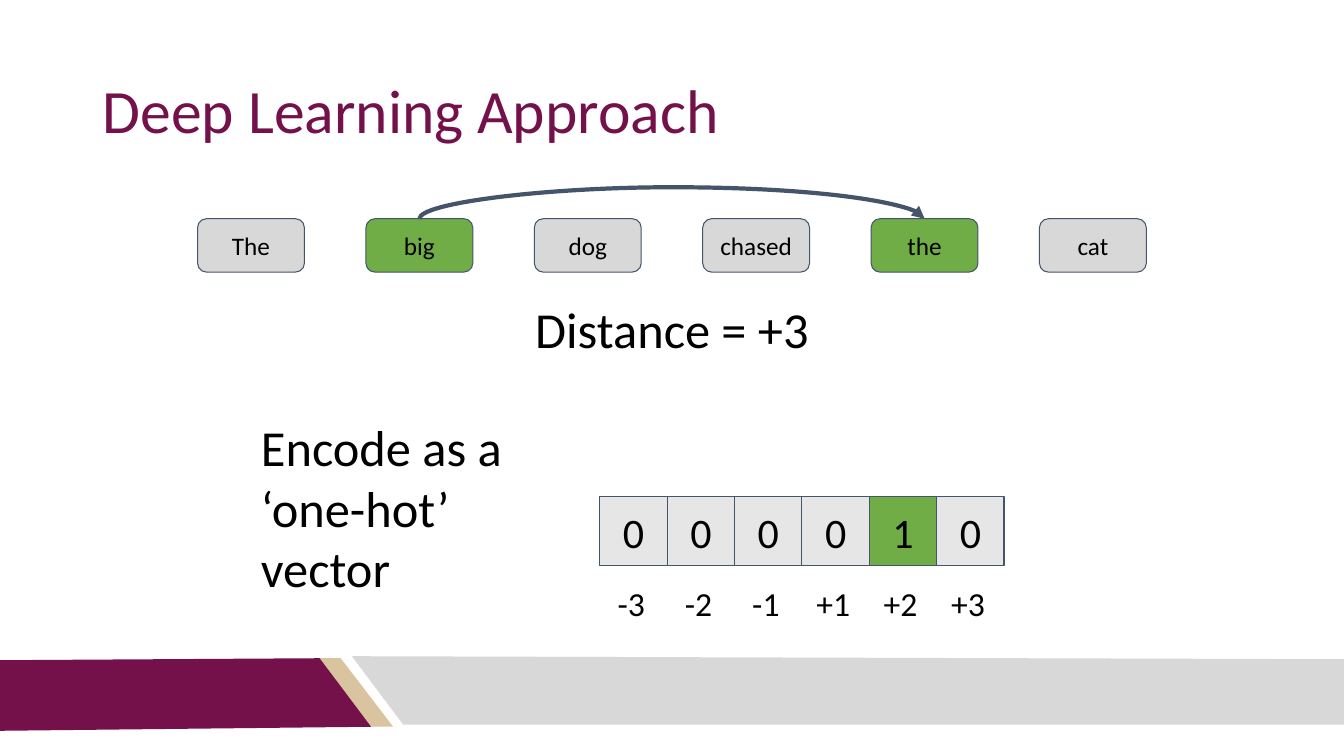
"""Build the slide on encoding word distance as a one-hot vector."""
from dataclasses import dataclass

from lxml import etree
from pptx import Presentation
from pptx.dml.color import RGBColor
from pptx.enum.shapes import MSO_CONNECTOR, MSO_SHAPE
from pptx.enum.text import MSO_ANCHOR, PP_ALIGN
from pptx.oxml.ns import qn
from pptx.util import Emu, Inches, Pt

CURVE = MSO_CONNECTOR.CURVE
RECTANGLE, ROUNDED = MSO_SHAPE.RECTANGLE, MSO_SHAPE.ROUNDED_RECTANGLE
TOP, MIDDLE = MSO_ANCHOR.TOP, MSO_ANCHOR.MIDDLE
LEFT, CENTER = PP_ALIGN.LEFT, PP_ALIGN.CENTER
TOP_SIDE = 0
TITLE_ONLY = 5

TITLE = "Deep Learning Approach"
WORDS = ["The", "big", "dog", "chased", "the", "cat"]
LINKED = (1, 4)
DISTANCE = "Distance = +3"
ENCODING = "Encode as a ‘one-hot’ vector"
VECTOR = [("0", "-3"), ("0", "-2"), ("0", "-1"), ("0", "+1"), ("1", "+2"), ("0", "+3")]


@dataclass(frozen=True)
class Theme:
    font: str = "Calibri"
    maroon: str = "75114A"
    tan: str = "D9C49F"
    silver: str = "D8D8D8"
    pale: str = "E7E6E6"
    green: str = "70AD47"
    slate: str = "44546A"
    black: str = "000000"
    title_size: int = 44
    body_size: int = 36
    digit_size: int = 30
    label_size: int = 24
    word_size: int = 18
    outline: float = 0.75
    arrow: float = 3


THEME = Theme()
WIDTH, HEIGHT = 13.33, 7.5
TITLE_BOX = (0.92, 0.4, 11.5, 1.45)
DISTANCE_BOX = (4.25, 2.86, 4.83, 0.89)
ENCODING_BOX = (2.49, 4.03, 2.7, 1.58)
WORD_GRID = {"left": 1.96, "top": 2.17, "pitch": 1.67, "width": 1.06, "height": 0.53}
CELL_GRID = {"left": 5.95, "top": 4.93, "pitch": 0.668, "width": 0.668, "height": 0.68}
LABEL_GRID = {**CELL_GRID, "top": 5.68, "width": 0.62, "height": 0.41}
ARC_RISE = 0.26
ARC_DEPTH = 600
FOOTER = [
    (THEME.tan, [(3.16, 6.53), (3.38, 6.53), (3.9, 7.21), (3.67, 7.21)]),
    (THEME.maroon, [(0, 6.55), (3.17, 6.53), (3.68, 7.21), (0, 7.25)]),
    (THEME.silver, [(3.49, 6.51), (WIDTH, 6.54), (WIDTH, 7.19), (4, 7.19)]),
]


def color(value):
    return RGBColor.from_string(value)


def grid_box(grid, column):
    left = grid["left"] + column * grid["pitch"]
    return left, grid["top"], grid["width"], grid["height"]


def write(shape, text, size, ink=THEME.black, align=CENTER, anchor=TOP, spacing=1.0):
    frame = shape.text_frame
    margins = dict.fromkeys(
        ("margin_left", "margin_top", "margin_right", "margin_bottom"), Inches(0.1))
    for name, value in {**margins, "word_wrap": True, "vertical_anchor": anchor}.items():
        setattr(frame, name, value)
    para = frame.paragraphs[0]
    para.alignment, para.line_spacing = align, spacing
    span = para.add_run()
    span.text = text
    for name, value in {"name": THEME.font, "size": Pt(size)}.items():
        setattr(span.font, name, value)
    span.font.color.rgb = color(ink)


def add_text(page, box, text, size, align=CENTER):
    write(page.shapes.add_textbox(*map(Inches, box)), text, size, align=align)


def add_tile(page, kind, box, text, size, fill):
    tile = page.shapes.add_shape(kind, *map(Inches, box))
    tile.shadow.inherit = False
    tile.fill.solid()
    tile.fill.fore_color.rgb = color(fill)
    tile.line.color.rgb = color(THEME.slate)
    tile.line.width = Pt(THEME.outline)
    write(tile, text, size, anchor=MIDDLE)
    return tile


def add_footer(page):
    for fill, points in FOOTER:
        corners = [(Inches(x), Inches(y)) for x, y in points]
        builder = page.shapes.build_freeform(*corners[0])
        builder.add_line_segments(corners[1:], close=True)
        band = builder.convert_to_shape()
        band.shadow.inherit = False
        band.fill.solid()
        band.fill.fore_color.rgb = color(fill)
        band.line.fill.background()


def add_arc(page, start, end):
    begin_x = start.left + start.width // 2
    end_x = end.left + end.width // 2
    span = end_x - begin_x
    arc = page.shapes.add_connector(CURVE, begin_x, start.top, end_x, end.top)
    arc.begin_connect(start, TOP_SIDE)
    arc.end_connect(end, TOP_SIDE)
    frame = {"left": (begin_x + end_x - ARC_DEPTH) // 2, "top": start.top - span // 2,
             "width": ARC_DEPTH, "height": span}
    for name, value in frame.items():
        setattr(arc, name, Emu(value))
    arc.line.color.rgb = color(THEME.slate)
    arc.line.width = Pt(THEME.arrow)
    properties = arc._element.spPr
    transform = properties.find(qn("a:xfrm"))
    for name, value in {"rot": "16200000", "flipH": "1"}.items():
        transform.set(name, value)
    bend = -round(Inches(ARC_RISE) / ARC_DEPTH * 100000)
    guides = properties.find(qn("a:prstGeom")).find(qn("a:avLst"))
    etree.SubElement(guides, qn("a:gd"), name="adj1", fmla=f"val {bend}")
    etree.SubElement(properties.find(qn("a:ln")), qn("a:tailEnd"), type="triangle")
    etree.SubElement(properties, qn("a:effectLst"))


def main():
    deck = Presentation()
    deck.slide_width, deck.slide_height = Inches(WIDTH), Inches(HEIGHT)
    page = deck.slides.add_slide(deck.slide_layouts[TITLE_ONLY])
    add_footer(page)

    title = page.shapes.title
    for name, value in zip(("left", "top", "width", "height"), TITLE_BOX):
        setattr(title, name, Inches(value))
    write(title, TITLE, THEME.title_size, THEME.maroon, LEFT, MIDDLE, 0.9)

    tiles = []
    for column, word in enumerate(WORDS):
        fill = THEME.green if column in LINKED else THEME.silver
        box = grid_box(WORD_GRID, column)
        tiles.append(add_tile(page, ROUNDED, box, word, THEME.word_size, fill))
    add_arc(page, *(tiles[column] for column in LINKED))
    add_text(page, DISTANCE_BOX, DISTANCE, THEME.body_size)

    for column, (digit, label) in enumerate(VECTOR):
        fill = THEME.green if digit == "1" else THEME.pale
        box = grid_box(CELL_GRID, column)
        add_tile(page, RECTANGLE, box, digit, THEME.digit_size, fill)
        add_text(page, grid_box(LABEL_GRID, column), label, THEME.label_size)
    add_text(page, ENCODING_BOX, ENCODING, THEME.body_size, LEFT)

    deck.save("out.pptx")


if __name__ == "__main__":
    main()
